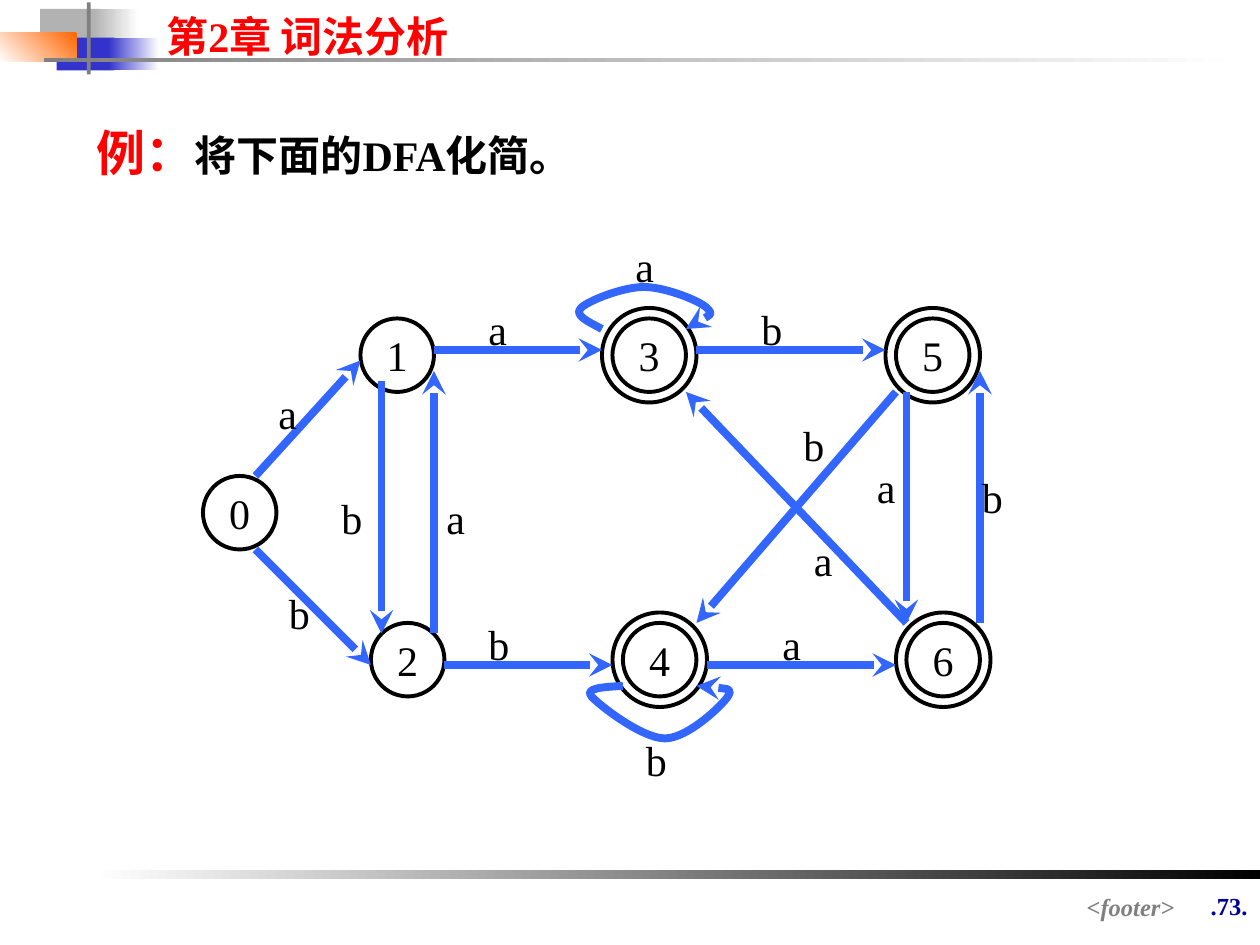
from pptx import Presentation, util as u
from pptx.dml.color import RGBColor
from pptx.enum import shapes, text
from pptx.oxml import parse_xml
from pptx.oxml.ns import nsdecls, qn

# Theme
THEME = {
    "font": "Times New Roman",
    "red": "FF0000", "black": "000000", "white": "FFFFFF", "navy": "000099",
    "blue": "3333CC", "edge": "3366FF", "orange": "FF6600",
    "gray": "808080", "silver": "B2B2B2",
    "lead": 28, "body": 24, "tail": 32, "small": 14,
    "ring": 2.25, "arrow": 4.5,
}

# Content: boxes are left, top, width, height in centimetres
TITLE = ((3.1, 0.08, 8, 1.27), [("第2章 词法分析", "body", "red", True, False)])
PAGE_TEXTS = [  # box, runs, alignment, grows, space before
    ((23.7, 17.83, 1.7, 1.45), [(".73.", "small", "navy", True, False)], "RIGHT", True, 0),
    ((6.71, 17.86, 17.22, 0.66), [("<footer>", "small", "gray", True, True)], "RIGHT", False, 0),
    ((1.7, 2.21, 19.2, 1.63), [("例：", "lead", "red", True, False),
                               ("将下面的DFA化简。", "body", "black", True, False),
                               (" ", "tail", "black", True, False)], "LEFT", True, 20),
]
BANDS = [  # box, colours from start to end, gradient angle
    ((0.81, 0.18, 1.22, 0.66), ["silver"], 0),
    ((1.88, 0.18, 0.91, 0.66), ["silver", "white"], 0),
    ((1.14, 0.76, 1.17, 0.66), ["blue"], 0),
    ((2.18, 0.76, 1.02, 0.66), ["blue", "white"], 0),
    ((0, 0.66, 1.55, 0.58), ["orange", "white"], 225),
    ((1.75, 0.05, 0.08, 1.45), ["gray"], 0),
    ((0.89, 1.17, 24.16, 0.08), ["gray", "white"], 0),
    ((1.9, 17.53, 23.5, 0.2), ["white", "black"], 0),
]

# Automaton, on a grid of twelve steps to 2.54 cm
STEP, ORIGIN = 2.54 / 12, 0.07
STATE, RING, LABEL_H = 7, 9, 6
LABEL_W = {"a": 4, "b": 5}
STATES = {"0": (19, 45), "1": (34, 30), "2": (35, 59), "3": (58, 30),
          "4": (59, 59), "5": (85, 30), "6": (86, 59)}
FINAL = "3546"
EDGES = [
    ((24, 45), (34, 34)), ((24, 52), (35, 63)), ((41, 60), (41, 35)),
    ((36, 36), (36, 60)), ((42, 63), (58, 63)), ((41, 33), (57, 33)),
    ((66, 33), (84, 33)), ((67, 63), (85, 63)), ((85, 37), (66, 59)),
    ((86, 59), (65, 37)), ((93, 59), (93, 35)), ((86, 37), (86, 59)),
]
LOOPS = [  # start, then two control points and an end for each curve
    [(59, 65), (57.2, 65.1), (55.3, 65.2), (56, 66), (56.7, 66.8), (60.8, 70), (63, 70),
     (65.2, 70), (68.5, 66.8), (69, 66), (69.5, 65.2), (67.8, 65.1), (66, 65)],
    [(57, 31), (55.7, 30.3), (54.3, 29.7), (55, 29), (55.7, 28.3), (59, 27), (61, 27),
     (63, 27), (66.3, 28.3), (67, 29), (67.7, 29.7), (66.3, 30.3), (65, 31)],
]
LABELS = {
    "a": [(25, 36), (45, 28), (59, 22), (82, 43), (76, 50), (73, 58), (41, 46)],
    "b": [(92, 44), (45, 58), (31, 46), (60, 69), (75, 39), (71, 28), (26, 55)],
}


def apply(obj, **values):
    for name, value in values.items():
        setattr(obj, name, value)


def rgb(name):
    return RGBColor.from_string(THEME[name])


def cm(box):
    return [u.Cm(v) for v in box]


def grid(*point):
    return [u.Cm(ORIGIN + v * STEP) for v in point]


def grid_box(left, top, width, height):
    return grid(left, top) + [u.Cm(width * STEP), u.Cm(height * STEP)]


def write(sp, runs, align="LEFT", grows=True, before=0, wrap=True, anchor="TOP"):
    size = text.MSO_AUTO_SIZE.SHAPE_TO_FIT_TEXT if grows else text.MSO_AUTO_SIZE.NONE
    tf = sp.text_frame
    apply(tf, word_wrap=wrap, auto_size=size,
          vertical_anchor=getattr(text.MSO_ANCHOR, anchor))
    p = tf.paragraphs[0]
    apply(p, alignment=getattr(text.PP_ALIGN, align), space_before=u.Pt(before))
    for words, size, color, bold, italic in runs:
        r = p.add_run()
        r.text = words
        apply(r.font, name=THEME["font"], size=u.Pt(THEME[size]), bold=bold, italic=italic)
        r.font.color.rgb = rgb(color)


def stroke(sp, color, width, arrow=False):
    sp.line.color.rgb = rgb(color)
    sp.line.width = u.Pt(THEME[width])
    if arrow:
        ln = sp.element.spPr.find(qn("a:ln"))
        ln.append(parse_xml(f'<a:tailEnd {nsdecls("a")} type="stealth"/>'))


def add_band(sps, box, colors, angle):
    sp = sps.add_shape(shapes.MSO_SHAPE.RECTANGLE, *cm(box))
    sp.shadow.inherit = False
    sp.line.fill.background()
    if len(colors) == 1:
        sp.fill.solid()
        sp.fill.fore_color.rgb = rgb(colors[0])
        return
    sp.fill.gradient()
    sp.fill.gradient_angle = angle
    for stop, color in zip(sp.fill.gradient_stops, colors):
        stop.color.rgb = rgb(color)


def add_circle(sps, left, top, size):
    sp = sps.add_shape(shapes.MSO_SHAPE.OVAL, *grid_box(left, top, size, size))
    sp.shadow.inherit = False
    sp.fill.background()
    stroke(sp, "black", "ring")
    return sp


def add_edge(sps, start, end):
    sp = sps.add_connector(shapes.MSO_CONNECTOR.STRAIGHT, *grid(*start), *grid(*end))
    stroke(sp, "edge", "arrow", arrow=True)
    sp.element.spPr.append(parse_xml(f'<a:effectLst {nsdecls("a")}/>'))


def add_loop(sps, points):
    start, *rest = [grid(*point) for point in points]
    builder = sps.build_freeform(*start)
    builder.add_line_segments(rest, close=False)
    sp = builder.convert_to_shape()
    sp.shadow.inherit = False
    sp.fill.background()
    stroke(sp, "edge", "arrow", arrow=True)
    # Each three line ends become one cubic curve
    lines = list(sp.element.iter(qn("a:lnTo")))
    for i in range(0, len(lines), 3):
        curve = parse_xml(f'<a:cubicBezTo {nsdecls("a")}/>')
        lines[i].addprevious(curve)
        for line in lines[i:i + 3]:
            curve.append(line[0])
            line.getparent().remove(line)


def main():
    prs = Presentation()
    apply(prs, slide_width=u.Cm(25.4), slide_height=u.Cm(19.05))
    slide = prs.slides.add_slide(prs.slide_layouts[5])
    sps = slide.shapes

    # Page frame and title
    for band in BANDS:
        add_band(sps, *band)
    box, runs = TITLE
    apply(sps.title, **dict(zip(("left", "top", "width", "height"), cm(box))))
    write(sps.title, runs)
    for box, *rest in PAGE_TEXTS:
        write(sps.add_textbox(*cm(box)), *rest)

    # States, with a second ring round the final ones
    for name, (left, top) in STATES.items():
        write(add_circle(sps, left, top, STATE), [(name, "body", "black", False, False)],
              "CENTER", grows=False, wrap=False, anchor="MIDDLE")
    for name in FINAL:
        left, top = STATES[name]
        add_circle(sps, left - 1, top - 1, RING)

    # Transitions and their labels
    for start, end in EDGES:
        add_edge(sps, start, end)
    for points in LOOPS:
        add_loop(sps, points)
    for symbol, places in LABELS.items():
        for left, top in places:
            sp = sps.add_textbox(*grid_box(left, top, LABEL_W[symbol], LABEL_H))
            write(sp, [(symbol, "body", "black", False, False)], before=15)

    prs.save("out.pptx")


if __name__ == "__main__":
    main()
